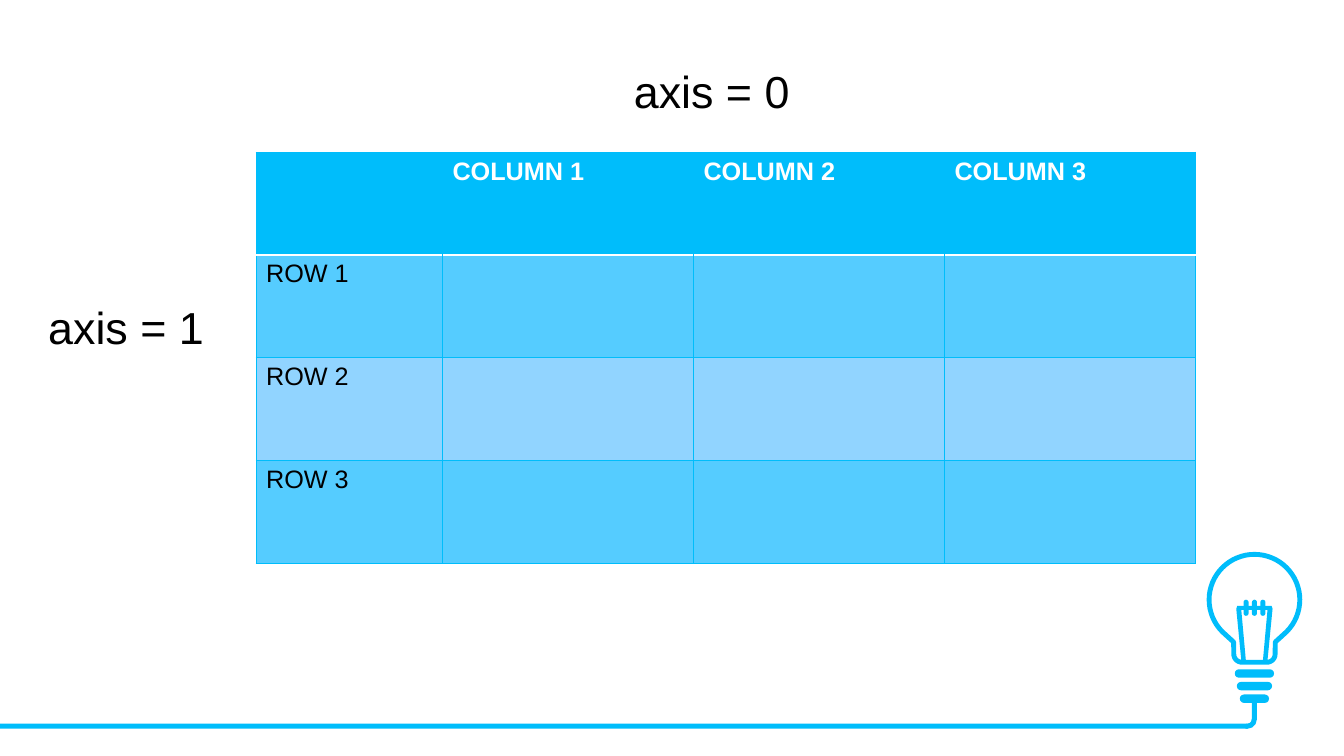
import math

from lxml import etree
from pptx import Presentation
from pptx import util as u
from pptx.dml.color import RGBColor
from pptx.enum import shapes, text
from pptx.oxml import ns

COLORS = {
    "accent": "00BDFB",
    "band_dark": "55CCFF",
    "band_light": "91D4FF",
    "white": "FFFFFF",
    "black": "000000",
}
FONT = "Arial"
COLUMNS, ROWS = 80, 45
BULB_CENTER = 74.67


def color(name):
    return RGBColor.from_string(COLORS[name])


def write(frame, content, size=18, ink="black", bold=False):
    para = frame.paragraphs[0]
    para.alignment = text.PP_ALIGN.LEFT
    span = para.add_run()
    span.text = content
    span.font.name = FONT
    span.font.size = u.Pt(size)
    span.font.bold = bold
    span.font.color.rgb = color(ink)


def arc(x, y, radius, start, end, steps=24):
    """Points of a circular arc, with angles in degrees clockwise from the right."""
    angles = [math.radians(start + (end - start) * i / steps) for i in range(steps + 1)]
    return [(x + radius * math.cos(a), y + radius * math.sin(a)) for a in angles]


def mirrored(half):
    """Close a right half, given as offsets from the bulb's axis, with its left half."""
    left = [(-x, y) for x, y in reversed(half)]
    return [(BULB_CENTER + x, y) for x, y in half + left]


def set_border(cell, side, ink, width):
    line = etree.SubElement(cell._tc.get_or_add_tcPr(), ns.qn(f"a:ln{side}"),
                            w=str(u.Pt(width)))
    if ink is None:
        etree.SubElement(line, ns.qn("a:noFill"))
    else:
        fill = etree.SubElement(line, ns.qn("a:solidFill"))
        etree.SubElement(fill, ns.qn("a:srgbClr"), val=COLORS[ink])


class SlideBuilder:
    """Places elements on one slide, measured in grid columns and rows."""

    def __init__(self, deck):
        self.page = deck.slides.add_slide(deck.slide_layouts[6])
        self.column = deck.slide_width / COLUMNS
        self.row = deck.slide_height / ROWS

    def across(self, columns):
        return round(columns * self.column)

    def down(self, rows):
        return round(rows * self.row)

    def area(self, x, y, width, height):
        return self.across(x), self.down(y), self.across(width), self.down(height)

    def paint(self, shape, fill="accent", line=None, width=0):
        shape.shadow.inherit = False
        shape.fill.solid()
        shape.fill.fore_color.rgb = color(fill)
        if line:
            shape.line.color.rgb = color(line)
            shape.line.width = u.Pt(width)
        else:
            shape.line.fill.background()

    def shape(self, kind, x, y, width, height, adjustments=()):
        shape = self.page.shapes.add_shape(kind, *self.area(x, y, width, height))
        for index, value in enumerate(adjustments):
            shape.adjustments[index] = value
        self.paint(shape)

    def pill(self, center, y, width, height):
        self.shape(shapes.MSO_SHAPE.ROUNDED_RECTANGLE,
                   center - width / 2, y, width, height, [0.5])

    def outline(self, points, **style):
        corners = [(self.across(x), self.down(y)) for x, y in points]
        builder = self.page.shapes.build_freeform(*corners[0])
        builder.add_line_segments(corners[1:], close=True)
        self.paint(builder.convert_to_shape(), **style)

    def label(self, content, x, y, width, height):
        box = self.page.shapes.add_textbox(*self.area(x, y, width, height))
        box.text_frame.word_wrap = True
        box.text_frame.auto_size = text.MSO_AUTO_SIZE.SHAPE_TO_FIT_TEXT
        write(box.text_frame, content, size=32)

    def table(self, values, x, y, widths, height):
        last = len(widths) - 1
        table = self.page.shapes.add_table(
            len(values), len(widths),
            *self.area(x, y, sum(widths), height * len(values))).table
        for column, width in zip(table.columns, widths):
            column.width = self.across(width)
        for r, line in enumerate(values):
            table.rows[r].height = self.down(height)
            for c, content in enumerate(line):
                cell = table.cell(r, c)
                header = r == 0
                set_border(cell, "L", None if header and c else "accent", 0.5)
                set_border(cell, "R", None if header and c < last else "accent", 0.5)
                set_border(cell, "T", *(("white", 1) if r == 1 else ("accent", 0.5)))
                set_border(cell, "B", *(("white", 1) if header else ("accent", 0.5)))
                band = "band_dark" if r % 2 else "band_light"
                cell.fill.solid()
                cell.fill.fore_color.rgb = color("accent" if header else band)
                if content:
                    write(cell.text_frame, content, bold=header,
                          ink="white" if header else "black")

    def bulb(self):
        glass = (arc(0, 35.7, 2.7, -90, 45) + [(1.24, 38.22)]
                 + arc(0.75, 38.94, 0.48, 0, 90, steps=8))
        self.outline(mirrored(glass), fill="white", line="accent", width=3.5)
        for index, width in enumerate((2.34, 2.1, 1.74)):
            self.pill(BULB_CENTER, 39.84 + 0.75 * index, width, 0.5)
        filament = [(1.02, 36.06), (1.08, 36.24), (0.78, 39.3),
                    (0.66, 39.45), (0.51, 39.3), (0.78, 36.3)]
        self.outline(mirrored(filament))
        for offset in (-0.5, 0, 0.5):
            self.pill(BULB_CENTER + offset, 35.7, 0.3, 0.96)

    def cord(self):
        self.shape(shapes.MSO_SHAPE.RECTANGLE, 0, 43.08, 74.22, 0.3)
        self.shape(shapes.MSO_SHAPE.RECTANGLE, 74.52, 41.82, 0.3, 1.02)
        self.shape(shapes.MSO_SHAPE.BLOCK_ARC, 73.68, 42.24, 1.14, 1.14,
                   [213.39, 60.92, 0.27])


def main():
    deck = Presentation()
    deck.slide_width, deck.slide_height = u.Inches(13.33), u.Inches(7.5)
    slide = SlideBuilder(deck)
    slide.bulb()
    slide.cord()
    header = [""] + [f"COLUMN {n}" for n in range(1, 4)]
    body = [[f"ROW {n}", "", "", ""] for n in range(1, 4)]
    slide.table([header] + body, 15.24, 9.06, [11.1] + [14.94] * 3, 6.12)
    slide.label("axis = 1", 2.28, 17.52, 12.24, 3.84)
    slide.label("axis = 0", 37.14, 3.48, 12, 3.84)
    deck.save("out.pptx")


if __name__ == "__main__":
    main()
